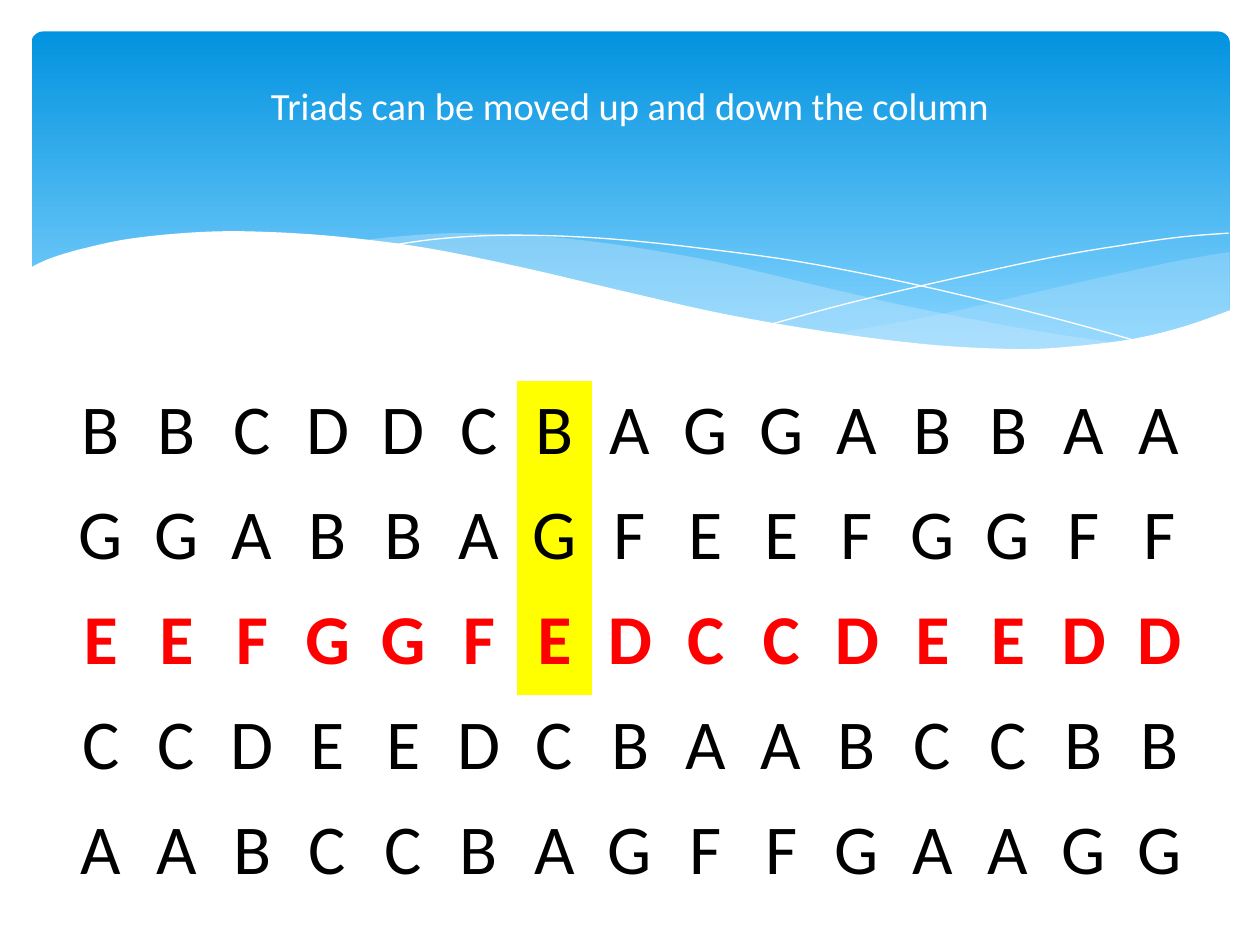
"""Build a slide with a wave header and a letter grid with one highlighted triad."""
from pptx import Presentation
from pptx.dml.color import RGBColor
from pptx.enum.shapes import MSO_SHAPE
from pptx.enum.text import MSO_ANCHOR, PP_ALIGN
from pptx.oxml.ns import qn
from pptx.util import Inches, Pt
from lxml import etree

CENTER = PP_ALIGN.CENTER
MIDDLE = MSO_ANCHOR.MIDDLE
ROUNDED = MSO_SHAPE.ROUNDED_RECTANGLE
PLAIN_TABLE = "{2D5ABB26-0587-4C30-8999-92F81FD0307C}"

TITLE = "Triads can be moved up and down the column"
LETTER_ROWS = [
    "BBCDDCBAGGABBAA",
    "GGABBAGFEEFGGFF",
    "EEFGGFEDCCDEEDD",
    "CCDEEDCBAABCCBB",
    "AABCCBAGFFGAAGG",
]
RED_ROW = 2
TRIAD = ["", "", ""]
CELL_WIDTH, CELL_HEIGHT = 0.6, 5 / 6

WAVES = [
    dict(edges=[
        [(9.76, 2), (9.35, 2.07), (8.61, 2.23), (7.79, 2.42), (7.29, 2.53), (6.61, 2.65)],
        [(6.61, 2.65), (7.05, 2.71), (7.57, 2.76), (8.03, 2.78), (8.54, 2.76),
         (8.97, 2.7), (9.35, 2.62), (9.76, 2.47)],
    ], fill="C6E7FC", opacity=29),
    dict(edges=[
        [(8.93, 2.73), (8.37, 2.65), (7.75, 2.54), (7.06, 2.4), (6.29, 2.22), (5.69, 2.08),
         (5.14, 1.98), (4.65, 1.91), (4.2, 1.87), (3.61, 1.85), (3.13, 1.88), (2.86, 1.91)],
        [(2.86, 1.91), (3.42, 1.99), (4.04, 2.11), (4.49, 2.22), (5.3, 2.4), (6.01, 2.55),
         (6.65, 2.66), (7.22, 2.74), (7.73, 2.77), (8.28, 2.78), (8.93, 2.73)],
    ], fill="C6E7FC", opacity=40),
    dict(edges=[
        [(3.09, 1.95), (3.44, 1.9), (3.87, 1.87), (4.33, 1.87), (4.89, 1.9), (5.56, 1.97),
         (6.36, 2.08), (7.27, 2.26), (8.31, 2.51), (9.07, 2.72)],
    ], line="FFFFFF"),
    dict(edges=[
        [(6.13, 2.57), (6.72, 2.41), (7.48, 2.23), (8.36, 2.04), (8.95, 1.94),
         (9.38, 1.88), (9.75, 1.85)],
    ], line="FFFFFF"),
    dict(edges=[
        [(9.77, 2.46), (9.4, 2.59), (8.99, 2.69), (8.5, 2.75), (8.09, 2.77), (7.44, 2.74),
         (6.68, 2.65), (5.79, 2.5), (5.03, 2.33), (4.18, 2.13), (3.4, 1.97), (2.71, 1.88),
         (2.11, 1.84), (1.61, 1.84), (1.06, 1.89), (0.67, 1.97), (0.4, 2.05), (0.23, 2.13)],
        [(0.23, 3.29), (9.77, 3.29)],
    ], fill="FFFFFF"),
]


def color(value):
    """Turn a hex string into a colour."""
    return RGBColor.from_string(value)


def format_object(target, **values):
    """Set each given attribute on the target."""
    for name, value in values.items():
        setattr(target, name, value)


def smooth(knots, steps=5):
    """Return points on a Catmull-Rom curve through the knots."""
    padded = [knots[0], *knots, knots[-1]]
    points = [knots[0]]
    for a, b, c, d in zip(padded, padded[1:], padded[2:], padded[3:]):
        for step in range(1, steps + 1):
            t = step / steps
            points.append(tuple(
                (2 * q + (r - p) * t + (2 * p - 5 * q + 4 * r - s) * t ** 2
                 + (3 * q - p - 3 * r + s) * t ** 3) / 2
                for p, q, r, s in zip(a, b, c, d)))
    return points


def add_wave(slide, edges, fill=None, opacity=100, line=None):
    """Draw a filled wave or an open curve."""
    points = [(Inches(x), Inches(y)) for edge in edges for x, y in smooth(edge)]
    builder = slide.shapes.build_freeform(*points[0])
    builder.add_line_segments(points[1:], close=fill is not None)
    shape = builder.convert_to_shape()
    shape.shadow.inherit = False
    if fill:
        shape.fill.solid()
        shape.fill.fore_color.rgb = color(fill)
        shape.line.fill.background()
        if opacity < 100:
            fill_color = shape.fill._xPr.find(qn("a:solidFill"))[0]
            etree.SubElement(fill_color, qn("a:alpha"), val=str(opacity * 1000))
    else:
        shape.fill.background()
        shape.line.color.rgb = color(line)
        shape.line.width = Pt(0)


def write(paragraph, text, size, text_color, bold=False):
    """Write one centred, formatted run."""
    paragraph.alignment = CENTER
    run = paragraph.add_run()
    run.text = text
    format_object(run.font, name="Calibri", size=Pt(size), bold=bold)
    run.font.color.rgb = color(text_color)


def add_grid(slide, left, top, rows, fill=None, red_row=None):
    """Add a plain table with one letter in each cell."""
    row_count, column_count = len(rows), max(len(rows[0]), 1)
    frame = slide.shapes.add_table(
        row_count, column_count, Inches(left), Inches(top),
        Inches(CELL_WIDTH * column_count), Inches(CELL_HEIGHT * row_count))
    table = frame.table
    format_object(table, first_row=False, horz_banding=False)
    table._tbl.tblPr.find(qn("a:tableStyleId")).text = PLAIN_TABLE
    for row_index, letters in enumerate(rows):
        for column_index in range(column_count):
            cell = table.cell(row_index, column_index)
            if fill:
                cell.fill.solid()
                cell.fill.fore_color.rgb = color(fill)
            else:
                cell.fill.background()
            if letters:
                red = row_index == red_row
                write(cell.text_frame.paragraphs[0], letters[column_index], 40,
                      "FF0000" if red else "000000", red)


def add_header(slide):
    """Add the rounded gradient panel."""
    panel = slide.shapes.add_shape(
        ROUNDED, Inches(0.25), Inches(0.25), Inches(9.51), Inches(2.7))
    panel.adjustments[0] = 0.034
    panel.shadow.inherit = False
    panel.line.fill.background()
    panel.fill.gradient()
    panel.fill.gradient_angle = 270
    stops = [(0, "0293E0"), (0.9, "83D3FE")]
    for stop, (position, value) in zip(panel.fill.gradient_stops, stops):
        stop.position = position
        stop.color.rgb = color(value)


def add_title(slide):
    """Place the title above the header panel."""
    title = slide.shapes.title
    format_object(title, left=Inches(0.27), top=Inches(0.6),
                  width=Inches(9.46), height=Inches(0.47))
    format_object(title.text_frame, word_wrap=True, vertical_anchor=MIDDLE)
    write(title.text_frame.paragraphs[0], TITLE, 22, "FFFFFF")
    slide.shapes._spTree.append(title._element)


presentation = Presentation()
format_object(presentation, slide_width=Inches(10), slide_height=Inches(7.5))
slide = presentation.slides.add_slide(presentation.slide_layouts[5])
add_header(slide)
for wave in WAVES:
    add_wave(slide, **wave)
add_grid(slide, 4.1, 3.02, TRIAD, fill="FFFF00")
add_title(slide)
add_grid(slide, 0.5, 3.03, LETTER_ROWS, red_row=RED_ROW)
presentation.save("out.pptx")
